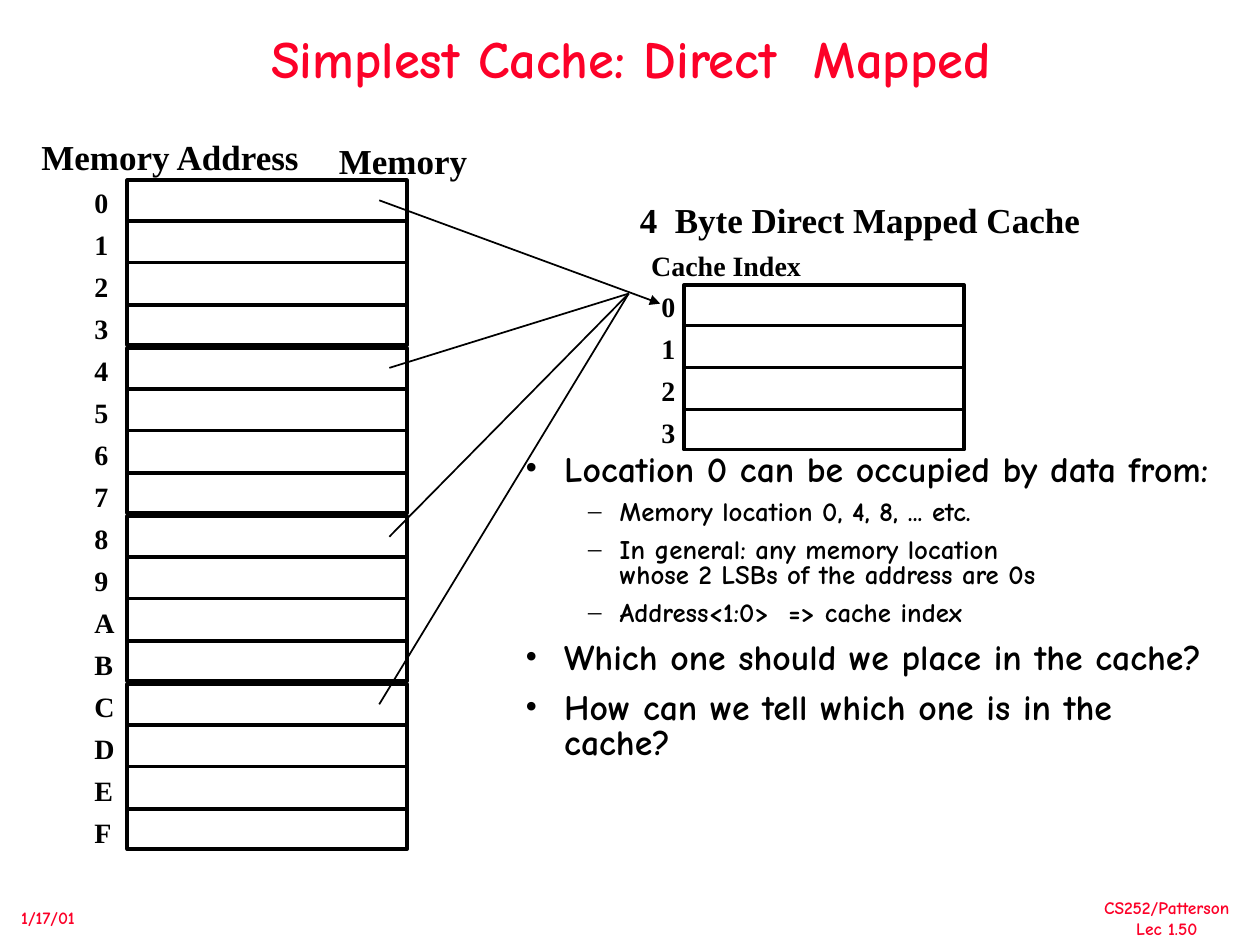
from typing import NamedTuple

from lxml.etree import SubElement
from pptx import Presentation
from pptx.dml.color import RGBColor
from pptx.enum.shapes import MSO_CONNECTOR, MSO_SHAPE
from pptx.enum.text import MSO_ANCHOR, PP_ALIGN
from pptx.oxml.ns import qn
from pptx.util import Inches, Pt

COLORS = {"red": "FC0128", "black": "000000"}
COMIC = "Comic Neue"
TIMES = "Times New Roman"
ROW_PITCH = 1 / 3
BLOCK_ROWS = 4
BLOCK_W, BLOCK_H = 2.22, 1.31
MEMORY_X, MEMORY_Y = 1.01, 1.43
CACHE_X, CACHE_Y = 5.43, 2.26


class Label(NamedTuple):
    text: str
    x: float
    y: float
    w: float
    h: float
    size: float
    font: str = TIMES
    color: str = "black"
    align: PP_ALIGN = PP_ALIGN.LEFT


class Link(NamedTuple):
    x1: float
    y1: float
    x2: float
    y2: float
    arrow: bool = False


class Point(NamedTuple):
    text: str
    level: int = 0


class Level(NamedTuple):
    size: float
    before: float
    margin: float
    hang: float
    bullet: str


LEVELS = [Level(20.4, 9, 0.31, 0.31, "•"), Level(15.3, 6.8, 0.75, 0.25, "–")]


def style_runs(p, size: float, font: str, color: str) -> None:
    for r in p.runs:
        r.font.size = Pt(size)
        r.font.name = font
        r.font.bold = True
        r.font.color.rgb = RGBColor.from_string(COLORS[color])
    # Line breaks take the size of the text around them
    for br in p._p.findall(qn("a:br")):
        SubElement(br, qn("a:rPr"), sz=str(round(size * 100)))


def add_label(s, label: Label):
    sp = s.shapes.add_textbox(Inches(label.x), Inches(label.y), Inches(label.w), Inches(label.h))
    tf = sp.text_frame
    tf.word_wrap = False
    tf.text = label.text
    for p in tf.paragraphs:
        p.alignment = label.align
        style_runs(p, label.size, label.font, label.color)
    return tf


def add_line(s, link: Link, width: float):
    line = s.shapes.add_connector(MSO_CONNECTOR.STRAIGHT, Inches(link.x1), Inches(link.y1),
                                  Inches(link.x2), Inches(link.y2))
    line.line.color.rgb = RGBColor.from_string(COLORS["black"])
    line.line.width = Pt(width)
    if link.arrow:
        SubElement(line.line._get_or_add_ln(), qn("a:tailEnd"), type="triangle")
    SubElement(line._element.spPr, qn("a:effectLst"))
    return line


def add_block(s, x: float, y: float) -> None:
    """A frame split into four rows."""
    sp = s.shapes.add_shape(MSO_SHAPE.RECTANGLE, Inches(x), Inches(y),
                            Inches(BLOCK_W), Inches(BLOCK_H))
    sp.shadow.inherit = False
    sp.fill.background()
    sp.line.color.rgb = RGBColor.from_string(COLORS["black"])
    sp.line.width = Pt(2)
    for row in range(1, BLOCK_ROWS):
        row_y = y + row * ROW_PITCH - 0.01
        divider = add_line(s, Link(x, row_y, x + BLOCK_W, row_y), 2)
        if row == BLOCK_ROWS // 2:
            divider.begin_connect(sp, 1)
            divider.end_connect(sp, 3)


def add_row_labels(s, names: str, x: float, y: float) -> None:
    for i, name in enumerate(names):
        width = 0.31 if name.isdigit() else 0.36
        add_label(s, Label(name, x, y + i * ROW_PITCH, width, 0.36, 16))


def add_points(s, points: list[Point]) -> None:
    sp = s.shapes.add_textbox(Inches(4.07), Inches(3.56), Inches(5.77), Inches(2.85))
    tf = sp.text_frame
    tf.word_wrap = True
    for i, point in enumerate(points):
        level = LEVELS[point.level]
        p = tf.paragraphs[0] if i == 0 else tf.add_paragraph()
        p.text = point.text
        p.level = point.level
        p.line_spacing = 0.8
        p.space_before = Pt(level.before)
        style_runs(p, level.size, COMIC, "black")
        # Hanging bullet
        pPr = p._p.get_or_add_pPr()
        pPr.set("marL", str(Inches(level.margin)))
        pPr.set("indent", str(-Inches(level.hang)))
        SubElement(SubElement(pPr, qn("a:buClr")), qn("a:srgbClr"), val=COLORS["black"])
        SubElement(pPr, qn("a:buFont"), typeface=TIMES)
        SubElement(pPr, qn("a:buChar"), char=level.bullet)


def main() -> None:
    prs = Presentation()
    prs.slide_width, prs.slide_height = Inches(10), Inches(7.5)
    s = prs.slides.add_slide(prs.slide_layouts[6])

    # Footer
    add_label(s, Label("CS252/Patterson\nLec 1.50", 8.66, 7.07, 1.2, 0.43, 10,
                       COMIC, "red", PP_ALIGN.CENTER))
    add_label(s, Label("1/17/01", 0.07, 7.15, 0.8, 0.27, 10, COMIC, "red"))

    # Title
    title = add_label(s, Label("Simplest Cache: Direct  Mapped", 0.04, 0.26, 9.94, 0.45, 30,
                               COMIC, "red", PP_ALIGN.CENTER))
    title.word_wrap = True
    title.vertical_anchor = MSO_ANCHOR.MIDDLE
    title.paragraphs[0].line_spacing = 0.9

    # Headings
    for heading in (
        Label("Memory", 2.59, 1.06, 1.22, 0.43, 20),
        Label("4  Byte Direct Mapped Cache", 4.98, 1.53, 3.7, 0.43, 20),
        Label("Memory Address", 0.23, 1.03, 2.26, 0.43, 20),
        Label("Cache Index", 5.07, 1.92, 1.39, 0.36, 16),
    ):
        add_label(s, heading)

    # Cache and memory
    add_block(s, CACHE_X, CACHE_Y)
    add_row_labels(s, "0123", 5.15, CACHE_Y - 0.01)
    for i in range(4):
        add_block(s, MEMORY_X, MEMORY_Y + i * BLOCK_ROWS * ROW_PITCH)
    add_row_labels(s, "0123456789ABCDEF", 0.65, MEMORY_Y - 0.01)

    # Memory rows that share cache index 0
    for link in (
        Link(3.01, 1.59, 5.24, 2.41, arrow=True),
        Link(3.09, 2.92, 4.99, 2.33),
        Link(3.09, 4.26, 4.99, 2.33),
        Link(3.01, 5.59, 4.99, 2.33),
    ):
        add_line(s, link, 1)

    # Discussion points
    add_points(s, [
        Point("Location 0 can be occupied by data from:"),
        Point("Memory location 0, 4, 8, ... etc.", 1),
        Point("In general: any memory location\nwhose 2 LSBs of the address are 0s", 1),
        Point("Address<1:0>  => cache index", 1),
        Point("Which one should we place in the cache?"),
        Point("How can we tell which one is in the cache?"),
    ])

    prs.save("out.pptx")


if __name__ == "__main__":
    main()
